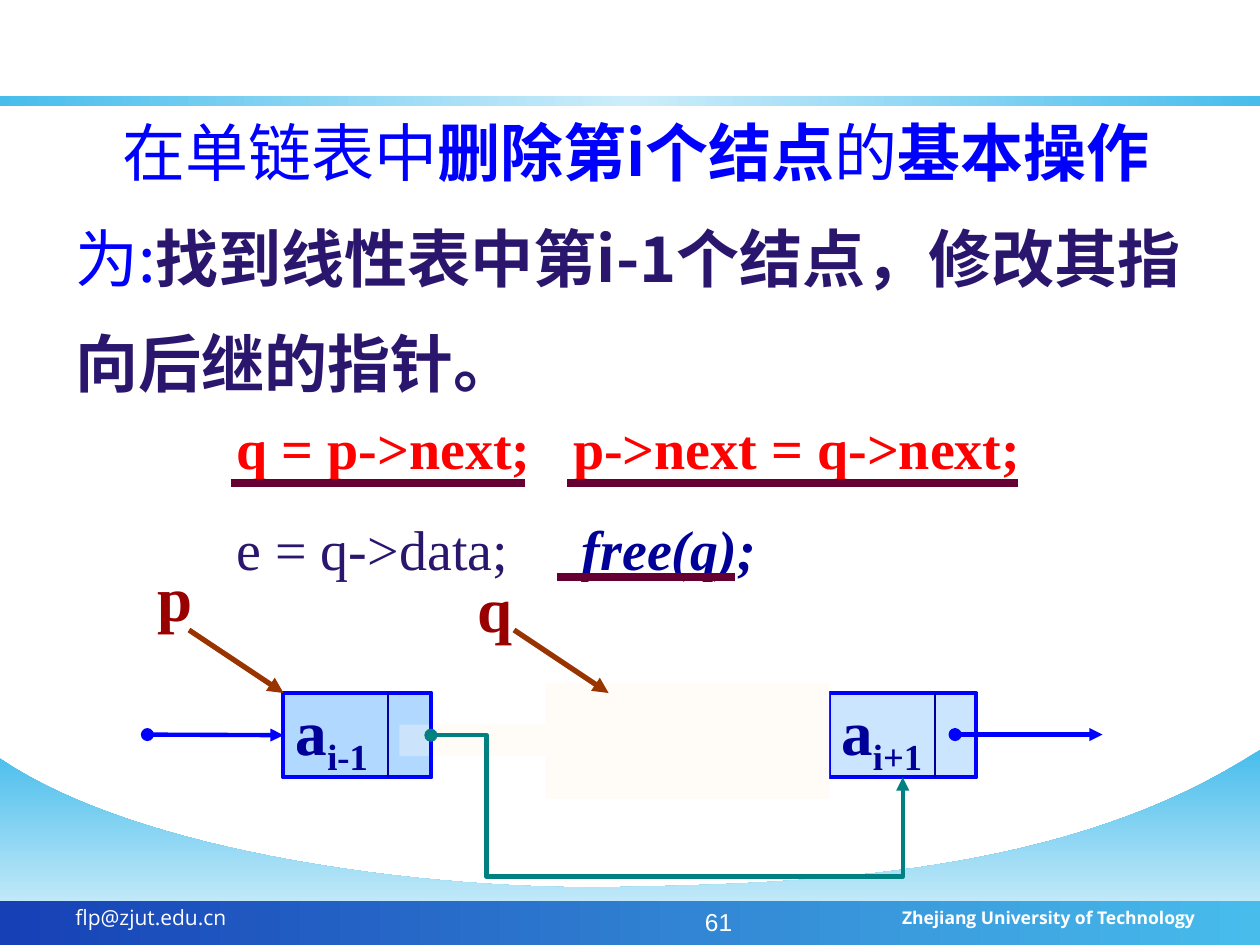
from typing import NamedTuple

from lxml.etree import SubElement
from pptx import Presentation
from pptx.dml.color import RGBColor
from pptx.enum.shapes import MSO_CONNECTOR as Link, MSO_SHAPE as Preset
from pptx.enum.text import MSO_ANCHOR as Anchor, PP_ALIGN as Align
from pptx.oxml.ns import qn
from pptx.util import Inches, Pt

SERIF, SANS, CJK = "Times New Roman", "Open Sans", "Noto Sans CJK SC"
BLUE, NAVY, INDIGO, WHITE = "0000FF", "000099", "2B166E", "FFFFFF"
SKY, CREAM, MAROON, RUST = "48BDEC", "FFFBF7", "660033", "993300"
MIDDLE = 5.83


class Pointer(NamedTuple):
    name: str
    left: float
    top: float
    arrow_x: float


class Footer(NamedTuple):
    text: str
    left: float
    top: float
    width: float
    size: float
    font: str
    bold: bool
    align: Align


class Rule(NamedTuple):
    start: float
    end: float
    y: float


POINTERS = [Pointer("p", 1.15, 4.38, 1.5), Pointer("q", 3.69, 4.47, 4.08)]
RULES = [Rule(1.83, 4.17, 3.83), Rule(4.5, 8.08, 3.83), Rule(4.42, 5.83, 4.58)]
FOOTERS = [
    Footer("flp@zjut.edu.cn", 0.5, 7.13, 2.33, 12, SANS, False, Align.LEFT),
    Footer("Zhejiang University of Technology", 6.5, 7.15, 3.08, 10, SANS, True, Align.RIGHT),
    Footer("61", 3.58, 7.15, 2.33, 14, "Arial", False, Align.RIGHT),
]
WAVE = [
    [(10, 5.95), (8.49, 6.95), (6.42, 7.01), (4.92, 7.04)],
    [(4.92, 7.04), (3.42, 7.07), (1.11, 6.78), (0, 6.02)],
]

deck = Presentation()
deck.slide_width, deck.slide_height = Inches(10), Inches(7.5)
page = deck.slides.add_slide(deck.slide_layouts[6])


def rgb(code: str) -> RGBColor:
    return RGBColor.from_string(code)


def add_span(para, text: str, *, size: float = 36, color: str = NAVY, font: str = SERIF,
             bold: bool = False, italic: bool = False, baseline: int = 0):
    span = para.add_run()
    span.text = text
    span.font.size, span.font.name = Pt(size), font
    span.font.bold, span.font.italic = bold, italic
    span.font.color.rgb = rgb(color)
    properties = span.font._element
    SubElement(properties, qn("a:ea")).set("typeface", font)
    if baseline:
        properties.set("baseline", str(baseline * 1000))
    return span


def add_box(left: float, top: float, width: float, height: float, wrap: bool = True):
    box = page.shapes.add_textbox(Inches(left), Inches(top), Inches(width), Inches(height))
    box.text_frame.word_wrap = wrap
    return box.text_frame


def set_tab(para, position: float) -> None:
    tabs = SubElement(para._p.get_or_add_pPr(), qn("a:tabLst"))
    tab = SubElement(tabs, qn("a:tab"))
    tab.set("pos", str(Inches(position)))
    tab.set("algn", "l")


def fill_gradient(shape, colors: list[str], angle: int) -> None:
    shape.shadow.inherit = False
    shape.line.fill.background()
    shape.fill.gradient()
    shape.fill.gradient_angle = angle
    stops = shape._element.spPr.find(qn("a:gradFill")).find(qn("a:gsLst"))
    for stop in list(stops):
        stops.remove(stop)
    for index, color in enumerate(colors):
        stop = SubElement(stops, qn("a:gs"))
        stop.set("pos", str(100000 * index // (len(colors) - 1)))
        SubElement(stop, qn("a:srgbClr")).set("val", color)


def add_rectangle(left: float, top: float, width: float, height: float):
    shape = page.shapes.add_shape(Preset.RECTANGLE, Inches(left), Inches(top),
                                  Inches(width), Inches(height))
    shape.shadow.inherit = False
    return shape


def add_wave() -> None:
    points = []
    for a, b, c, d in WAVE:
        for step in range(33):
            t = step / 32
            weights = ((1 - t) ** 3, 3 * t * (1 - t) ** 2, 3 * t * t * (1 - t), t ** 3)
            points.append(tuple(Inches(sum(w * p[axis] for w, p in zip(weights, (a, b, c, d))))
                                for axis in (0, 1)))
    builder = page.shapes.build_freeform(Inches(10), Inches(7.5))
    builder.add_line_segments(points + [(0, Inches(7.5))], close=True)
    fill_gradient(builder.convert_to_shape(), [SKY, "E3F5FC"], 270)


def add_line(start: tuple[float, float], end: tuple[float, float], color: str, width: float,
             head: str = "none", tail: str = "none", kind: Link = Link.STRAIGHT):
    line = page.shapes.add_connector(kind, *map(Inches, start + end))
    line.line.color.rgb = rgb(color)
    line.line.width = Pt(width)
    properties = line._element.spPr
    outline = properties.find(qn("a:ln"))
    SubElement(outline, qn("a:headEnd")).set("type", head)
    SubElement(outline, qn("a:tailEnd")).set("type", tail)
    SubElement(properties, qn("a:effectLst"))
    return line


def add_node(left: float, index: str):
    node = add_rectangle(left, 5.5, 1.17, 0.67)
    node.fill.solid()
    node.fill.fore_color.rgb = rgb("99CCFF")
    color = node._element.spPr.find(qn("a:solidFill")).find(qn("a:srgbClr"))
    SubElement(color, qn("a:alpha")).set("val", "50000")
    node.line.color.rgb = rgb(BLUE)
    node.line.width = Pt(2.25)
    node.text_frame.vertical_anchor = Anchor.MIDDLE
    para = node.text_frame.paragraphs[0]
    para.alignment = Align.LEFT
    add_span(para, "a", bold=True)
    add_span(para, index, bold=True, baseline=-25)
    return node


def add_divider(x: float) -> None:
    add_line((x, 5.5), (x, 6.17), NAVY, 0.75)


def add_patch(left: float, top: float, width: float, height: float) -> None:
    patch = add_rectangle(left, top, width, height)
    patch.fill.solid()
    patch.fill.fore_color.rgb = rgb(CREAM)
    patch.line.fill.background()


def add_list_arrow(x: float, length: float):
    return add_line((x, MIDDLE), (x + length, MIDDLE), BLUE, 2.5, "oval", "triangle")


add_wave()
fill_gradient(add_rectangle(0, 7.15, 10, 0.35), [SKY, "1640B6"], 180)
fill_gradient(add_rectangle(0, 0.76, 10, 0.08), [SKY, "CDEDFA", SKY], 180)
for footer in FOOTERS:
    para = add_box(footer.left, footer.top, footer.width, 0.35).paragraphs[0]
    para.alignment = footer.align
    add_span(para, footer.text, size=footer.size, color=WHITE, font=footer.font, bold=footer.bold)

para = add_box(0.5, 0.61, 9.02, 2.64).paragraphs[0]
para.line_spacing = 1.4
para._p.get_or_add_pPr().set("indent", str(Inches(0.37)))
for text, color, bold in [
    ("在单链表中", BLUE, False), ("删除第i个结点", BLUE, True), ("的", BLUE, False),
    ("基本操作", BLUE, True), ("为:", BLUE, False),
    ("找到线性表中第i-1个结点，修改其指向后继的指针。", INDIGO, True),
]:
    add_span(para, text, color=color, font=CJK, bold=bold)

previous = add_node(2.25, "i-1")
add_list_arrow(1.17, 1.08).end_connect(previous, 1)
following = add_node(6.58, "i+1")
add_divider(7.42)
add_list_arrow(7.58, 1.17)
add_patch(3.17, 5.75, 1.25, 0.25)
previous = add_node(2.25, "i-1")
add_divider(3.08)

bypass = add_line((3.42, MIDDLE), (7.17, 6.17), "008080", 2.5, "oval", "triangle", Link.ELBOW)
bypass.begin_connect(previous, 3)
bypass.end_connect(following, 2)
geometry = bypass._element.spPr.find(qn("a:prstGeom"))
geometry.set("prst", "bentConnector4")
for name, value in (("adj1", 11800), ("adj2", 335000)):
    guide = SubElement(geometry.find(qn("a:avLst")), qn("a:gd"))
    guide.set("name", name)
    guide.set("fmla", f"val {value}")
add_patch(4.33, 5.42, 2.25, 0.92)

code = add_box(1.78, 2.97, 6.64, 1.7)
assign, release = code.paragraphs[0], code.add_paragraph()
for para, tab in ((assign, 2.67), (release, 2.74)):
    para.line_spacing = 1.5
    set_tab(para, tab)
add_span(assign, "q = p->next;\tp->next = q->next;", size=32, color="FF0000", bold=True)
add_span(release, "e = q->data;\t", size=32, color=INDIGO)
add_span(release, "free(q);", size=32, bold=True, italic=True)

for pointer in POINTERS:
    add_line((pointer.arrow_x, 5), (pointer.arrow_x + 0.75, 5.5), RUST, 3, tail="triangle")
    para = add_box(pointer.left, pointer.top, 0.48, 0.7, wrap=False).paragraphs[0]
    add_span(para, pointer.name, color="990000", bold=True)
for rule in RULES:
    add_line((rule.start, rule.y), (rule.end, rule.y), MAROON, 4.5)

deck.save("out.pptx")
